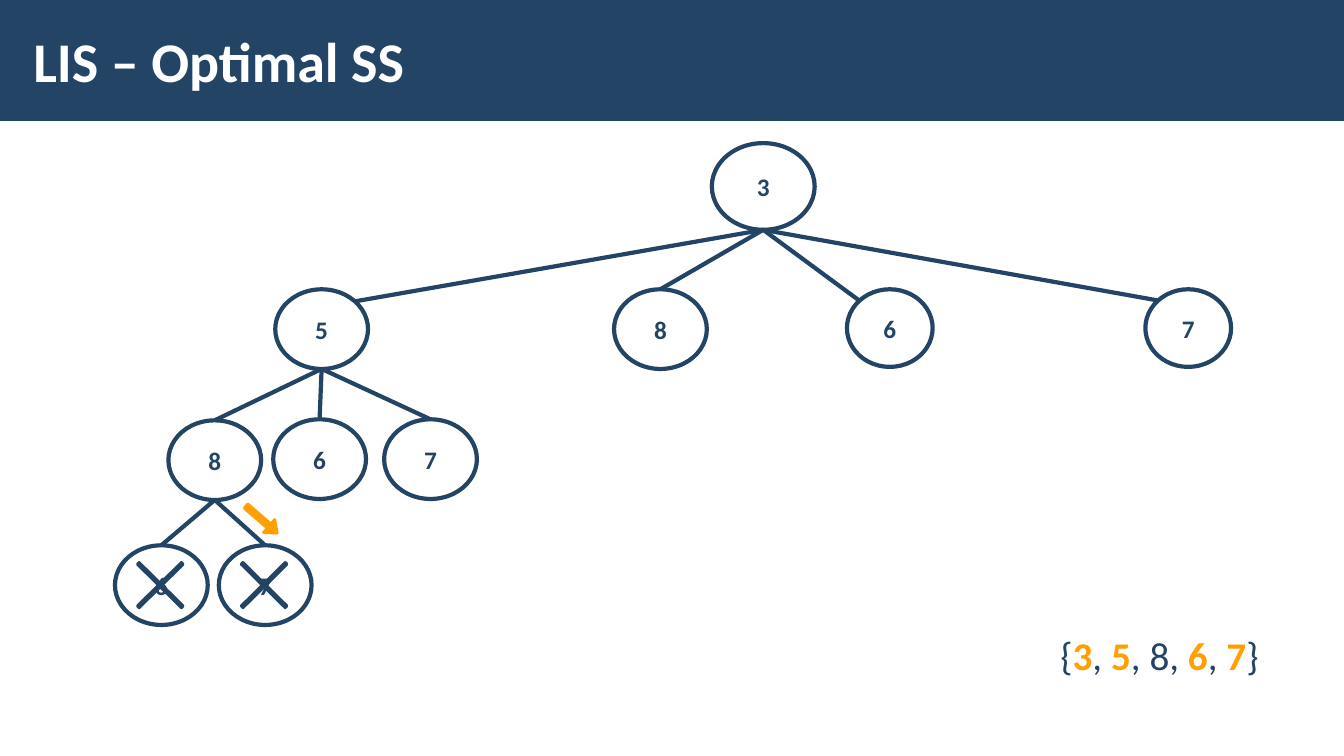
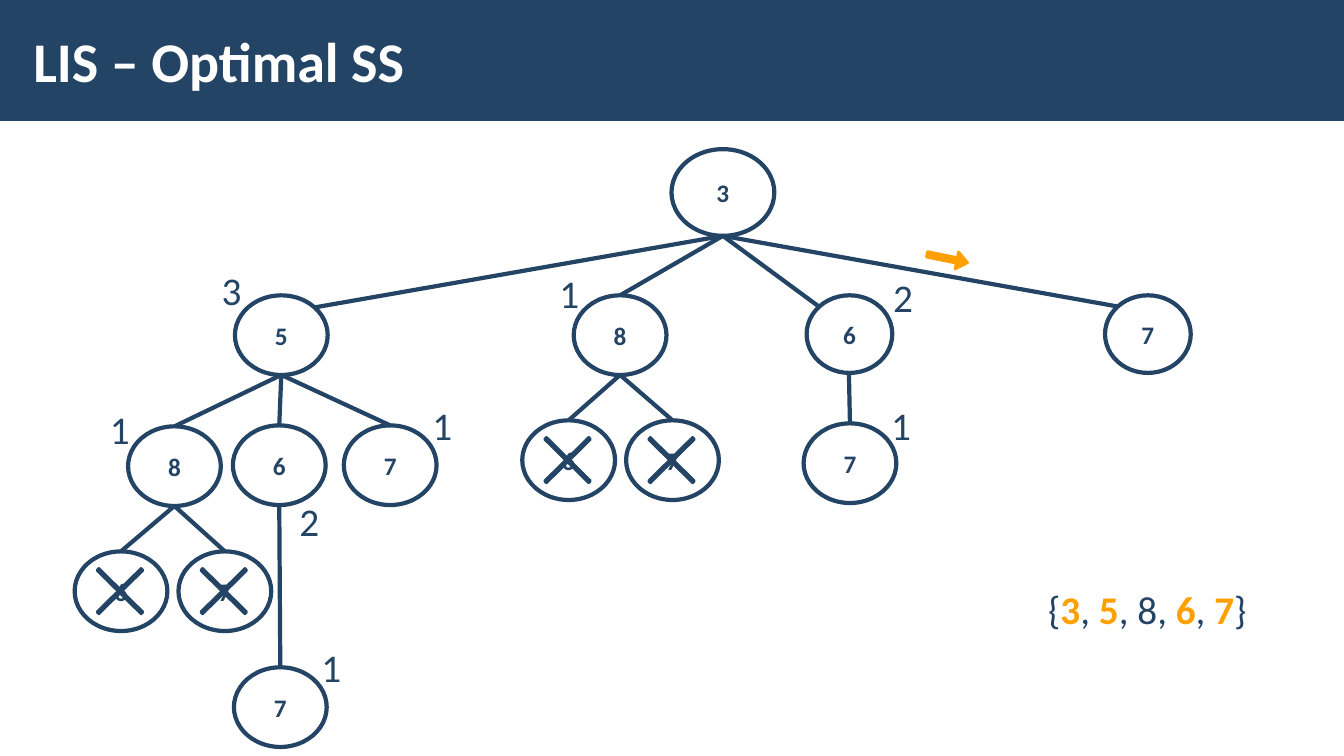
from dataclasses import dataclass, replace
from math import sqrt
from typing import Any, Optional

from lxml.etree import SubElement
from pptx import Presentation
from pptx.dml.color import RGBColor
from pptx.enum.shapes import MSO_CONNECTOR, MSO_SHAPE
from pptx.enum.text import MSO_ANCHOR, MSO_AUTO_SIZE, PP_ALIGN
from pptx.oxml.ns import qn
from pptx.util import Emu, Pt

# Shared look
PX = 9144  # 100 px to the inch
SLIDE_W, SLIDE_H = 1333, 750
NAVY, ORANGE, WHITE = "234465", "FFA000", "FFFFFF"
TITLE_FONT = {"name": "Calibri", "size": Pt(40), "bold": True}
NODE_FONT = {"name": "Calibri", "size": Pt(18), "bold": True}
BODY_FONT = {"name": "Calibri", "size": Pt(28), "bold": False}
TITLE_FRAME = {"vertical_anchor": MSO_ANCHOR.MIDDLE, "margin_left": Emu(12 * PX),
               "margin_right": Emu(12 * PX), "margin_top": Emu(4 * PX),
               "margin_bottom": Emu(4 * PX)}
NODE_FRAME = {**TITLE_FRAME, "margin_left": 0, "margin_right": 0, "word_wrap": True}
ROOT, LARGE, SMALL = (102, 86), (92, 79), (85, 77)
CROSS_SIZE, CROSS_SHIFT = (84, 83), (3, -2)
# Horizontal side on which an edge meets the child
LEFT, TOP, RIGHT = -1, 0, 1


@dataclass(frozen=True)
class Node:
    key: str
    left: int
    top: int
    size: tuple[int, int] = LARGE
    meets: int = TOP
    crossed: bool = False

    @property
    def parent(self) -> str:
        return self.key[:-1]

    def bottom_point(self) -> tuple[int, int]:
        return self.left + self.size[0] // 2, self.top + self.size[1]

    def upper_point(self) -> tuple[int, int]:
        width, height = self.size
        x = self.left + width / 2 * (1 + self.meets * sqrt(0.5))
        y = self.top + (height / 2 * (1 - sqrt(0.5)) if self.meets else 0)
        return round(x), round(y)


@dataclass(frozen=True)
class Length:
    text: str
    left: int
    top: int


@dataclass(frozen=True)
class Step:
    left: int
    top: int
    rotation: float


@dataclass(frozen=True)
class TreeSlide:
    nodes: list[Node]
    step: Step
    sequence_at: tuple[int, int]
    lengths: tuple[Length, ...] = ()


# Content: a key is the path of values from the root
TITLE = "LIS – Optimal SS"
SEQUENCE = ((" {", False), ("3", True), (", ", False), ("5", True), (", 8, ", False),
            ("6", True), (", ", False), ("7", True), ("}", False))
FIRST_TREE = [
    Node("3", 706, 142, ROOT),
    Node("35", 273, 287, meets=RIGHT),
    Node("38", 609, 287),
    Node("36", 840, 287, SMALL, LEFT),
    Node("37", 1136, 287, SMALL, LEFT),
    Node("358", 167, 417),
    Node("356", 271, 416),
    Node("357", 381, 416),
    Node("3586", 114, 541, crossed=True),
    Node("3587", 217, 541, crossed=True),
]
FULL_TREE = [replace(n, left=n.left - 40, top=n.top + 6) for n in FIRST_TREE] + [
    Node("3567", 232, 662),
    Node("386", 518, 417, crossed=True),
    Node("387", 621, 417, crossed=True),
    Node("367", 797, 420),
]
LENGTHS = (
    Length("1", 99, 397), Length("1", 309, 633), Length("1", 419, 393),
    Length("2", 287, 488), Length("3", 210, 259), Length("1", 545, 262),
    Length("1", 874, 393), Length("2", 876, 266),
)
TREE_SLIDES = (
    TreeSlide(FIRST_TREE, Step(239, 507, 40.9), (1033, 621)),
    TreeSlide(FULL_TREE, Step(919, 248, 11.6), (1021, 576), LENGTHS),
)


# Helpers
def px(*lengths: int) -> list[Emu]:
    return [Emu(length * PX) for length in lengths]


def color(hex_code: str) -> RGBColor:
    return RGBColor.from_string(hex_code)


def apply(target: Any, values: dict[str, Any]) -> None:
    for name, value in values.items():
        setattr(target, name, value)


def add_run(paragraph: Any, text: str, font: dict[str, Any], ink: str) -> None:
    run = paragraph.add_run()
    run.text = text
    apply(run.font, font)
    run.font.color.rgb = color(ink)


def add_preset(slide: Any, preset: MSO_SHAPE, box: tuple[int, ...], fill: str,
               line: Optional[str] = None, weight: int = 2,
               adjustments: tuple[float, ...] = ()) -> Any:
    shape = slide.shapes.add_shape(preset, *px(*box))
    shape.shadow.inherit = False
    shape.fill.solid()
    shape.fill.fore_color.rgb = color(fill)
    if line:
        shape.line.color.rgb = color(line)
        shape.line.width = Pt(weight)
    else:
        shape.line.fill.background()
    for index, value in enumerate(adjustments):
        shape.adjustments[index] = value
    return shape


def add_text(slide: Any, box: tuple[int, ...], wrap: bool) -> Any:
    frame = slide.shapes.add_textbox(*px(*box)).text_frame
    apply(frame, {"word_wrap": wrap, "auto_size": MSO_AUTO_SIZE.SHAPE_TO_FIT_TEXT})
    return frame.paragraphs[0]


# Parts of a slide
def add_title(slide: Any) -> None:
    title = slide.shapes.title
    title.left, title.top, title.width, title.height = px(21, 11, 1063, 97)
    apply(title.text_frame, TITLE_FRAME)
    paragraph = title.text_frame.paragraphs[0]
    paragraph.alignment = PP_ALIGN.LEFT
    add_run(paragraph, TITLE, TITLE_FONT, WHITE)


def add_node(slide: Any, node: Node) -> Any:
    circle = add_preset(slide, MSO_SHAPE.OVAL, (node.left, node.top, *node.size),
                        WHITE, NAVY, 3)
    fill_color = circle.element.spPr.find(qn("a:solidFill"))[0]
    SubElement(fill_color, qn("a:alpha"), val="50000")
    apply(circle.text_frame, NODE_FRAME)
    paragraph = circle.text_frame.paragraphs[0]
    paragraph.alignment = PP_ALIGN.CENTER
    add_run(paragraph, node.key[-1], NODE_FONT, NAVY)
    return circle


def add_edge(slide: Any, parent: Node, child: Node, child_circle: Any) -> None:
    edge = slide.shapes.add_connector(
        MSO_CONNECTOR.STRAIGHT, *px(*parent.bottom_point(), *child.upper_point()))
    if child.meets == TOP:
        edge.end_connect(child_circle, 0)
    edge.line.color.rgb = color(NAVY)
    edge.line.width = Pt(3)
    SubElement(edge.element.spPr, qn("a:effectLst"))


def add_tree(slide: Any, nodes: list[Node]) -> None:
    by_key = {node.key: node for node in nodes}
    for node in nodes:
        circle = add_node(slide, node)
        if node.parent:
            add_edge(slide, by_key[node.parent], node, circle)
        if node.crossed:
            corner = (node.left + CROSS_SHIFT[0], node.top + CROSS_SHIFT[1])
            add_preset(slide, MSO_SHAPE.MATH_MULTIPLY, (*corner, *CROSS_SIZE),
                       NAVY, NAVY, adjustments=(0.03,))


def add_step(slide: Any, step: Step) -> None:
    arrow = add_preset(slide, MSO_SHAPE.RIGHT_ARROW, (step.left, step.top, 41, 17),
                       ORANGE, ORANGE, adjustments=(0.32, 0.63))
    arrow.rotation = step.rotation


def add_sequence(slide: Any, corner: tuple[int, int]) -> None:
    paragraph = add_text(slide, (*corner, 238, 57), wrap=False)
    for text, chosen in SEQUENCE:
        add_run(paragraph, text, {**BODY_FONT, "bold": chosen},
                ORANGE if chosen else NAVY)


def add_length(slide: Any, length: Length) -> None:
    paragraph = add_text(slide, (length.left, length.top, 28, 57), wrap=True)
    add_run(paragraph, length.text, BODY_FONT, NAVY)


def move_band_to_layout(slide: Any, layout: Any) -> None:
    for placeholder in list(layout.placeholders):
        if placeholder.placeholder_format.idx != 0:
            placeholder.element.getparent().remove(placeholder.element)
    band = add_preset(slide, MSO_SHAPE.RECTANGLE, (0, 0, SLIDE_W + 1, 120), NAVY)
    layout.element.cSld.spTree.insert(2, band.element)


def main() -> None:
    deck = Presentation()
    deck.slide_width, deck.slide_height = px(SLIDE_W, SLIDE_H)
    layout = deck.slide_layouts.get_by_name("Title Only")
    for number, content in enumerate(TREE_SLIDES):
        slide = deck.slides.add_slide(layout)
        if number == 0:
            move_band_to_layout(slide, layout)
        add_title(slide)
        add_tree(slide, content.nodes)
        add_step(slide, content.step)
        add_sequence(slide, content.sequence_at)
        for length in content.lengths:
            add_length(slide, length)
    deck.save("out.pptx")


if __name__ == "__main__":
    main()
